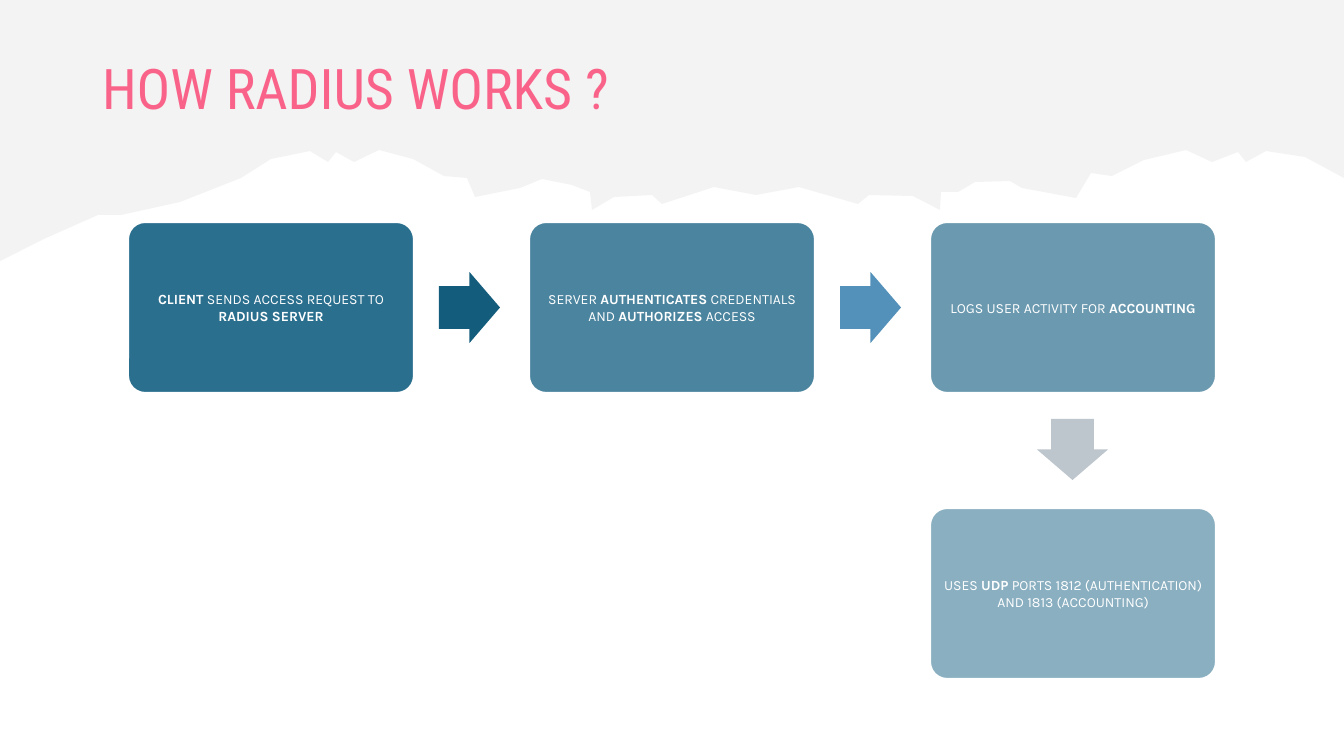
"""Build the slide that explains the RADIUS flow in four steps."""
from lxml import etree
from pptx import Presentation
from pptx.dml.color import RGBColor
from pptx.enum.shapes import MSO_SHAPE
from pptx.enum.text import MSO_ANCHOR, PP_ALIGN
from pptx.oxml.ns import qn
from pptx.util import Pt

PX = 914400 / 100.8
ROUNDED, ARROW = MSO_SHAPE.ROUNDED_RECTANGLE, MSO_SHAPE.RIGHT_ARROW
MIDDLE, CENTER, LEFT = MSO_ANCHOR.MIDDLE, PP_ALIGN.CENTER, PP_ALIGN.LEFT
COLORS = {"white": "FFFFFF", "torn": "E8E8E8", "title": "FA6389", "step": "156082",
          "arrow 1": "145C7C", "arrow 2": "5391BA", "arrow 3": "BDC5CD"}
TORN_EDGE = [
    (0, 261), (46, 238), (98, 215), (121, 215), (180, 202), (241, 178), (271, 159),
    (310, 151), (328, 162), (336, 152), (354, 162), (379, 150), (413, 159), (444, 176),
    (467, 178), (475, 197), (520, 188), (542, 179), (572, 185), (590, 192), (592, 210),
    (614, 197), (652, 195), (662, 204), (714, 187), (756, 195), (799, 187), (858, 204),
    (869, 195), (913, 196), (940, 210), (941, 192), (958, 192), (975, 182), (1010, 181),
    (1022, 188), (1076, 198), (1091, 173), (1112, 176), (1144, 160), (1186, 150),
    (1212, 162), (1238, 152), (1246, 162), (1266, 151), (1305, 157), (1344, 178),
    (1344, 0), (0, 0)]
BOX_LEFT, BOX_TOP, BOX_WIDTH, BOX_HEIGHT = 128, 222, 286, 171
COLUMN_STEP, ROW_STEP = 401, 286
STEPS = [
    (0, 0, 90, [("CLIENT", True), (" SENDS ACCESS REQUEST TO ", False), ("RADIUS SERVER", True)]),
    (1, 0, 77, [("SERVER ", False), ("AUTHENTICATES", True), (" CREDENTIALS AND ", False),
                ("AUTHORIZES", True), (" ACCESS", False)]),
    (2, 0, 63, [("LOGS USER ACTIVITY FOR ", False), ("ACCOUNTING", True)]),
    (2, 1, 50, [("USES ", False), ("UDP", True),
                (" PORTS 1812 (AUTHENTICATION) AND 1813 (ACCOUNTING)", False)])]
ARROWS = [(439, 272, 0, "arrow 1"), (840, 272, 0, "arrow 2"), (1042, 414, 90, "arrow 3")]


def px(*lengths):
    return [round(length * PX) for length in lengths]


def paint(shape, color, opacity=100):
    shape.shadow.inherit = False
    shape.line.fill.background()
    shape.fill.solid()
    shape.fill.fore_color.rgb = RGBColor.from_string(COLORS[color])
    if opacity < 100:
        tint = shape.fill._xPr.find(qn("a:solidFill"))[0]
        etree.SubElement(tint, qn("a:alpha")).set("val", str(opacity * 1000))


prs = Presentation()
prs.slide_width, prs.slide_height = px(1344, 756)
slide = prs.slides.add_slide(prs.slide_layouts[5])

outline = slide.shapes.build_freeform(*TORN_EDGE[0], scale=PX)
outline.add_line_segments(TORN_EDGE[1:], close=True)
torn_band = outline.convert_to_shape()
paint(torn_band, "torn", 50)
slide.shapes._spTree.insert(2, torn_band._element)

title = slide.shapes.title
title.left, title.top, title.width, title.height = px(92, 40, 1159, 103)
title.text_frame.word_wrap = True
title.text_frame.vertical_anchor = MIDDLE
heading = title.text_frame.paragraphs[0]
heading.alignment, heading.line_spacing = LEFT, 0.9
heading_run = heading.add_run()
heading_run.text = "HOW RADIUS WORKS ?"
heading_run.font.size, heading_run.font.name = Pt(40), "Roboto Condensed"
heading_run.font.color.rgb = RGBColor.from_string(COLORS["title"])

for column, row, opacity, wording in STEPS:
    step = slide.shapes.add_shape(ROUNDED, *px(
        BOX_LEFT + column * COLUMN_STEP, BOX_TOP + row * ROW_STEP, BOX_WIDTH, BOX_HEIGHT))
    step.adjustments[0] = 0.1
    paint(step, "step", opacity)
    step.line.color.rgb = RGBColor.from_string(COLORS["white"])
    step.line.width = Pt(1.5)
    frame = step.text_frame
    frame.word_wrap, frame.vertical_anchor = True, MIDDLE
    frame.margin_left, frame.margin_right, frame.margin_top, frame.margin_bottom = px(*[9] * 4)
    sentence = frame.paragraphs[0]
    sentence.alignment = CENTER
    for words, bold in wording:
        run = sentence.add_run()
        run.text = words
        run.font.size, run.font.name, run.font.bold = Pt(10), "Karla", bold
        run.font.color.rgb = RGBColor.from_string(COLORS["white"])

for left, top, turn, color in ARROWS:
    arrow = slide.shapes.add_shape(ARROW, *px(left, top, 61, 71))
    arrow.adjustments[0], arrow.adjustments[1] = 0.6, 0.5
    arrow.rotation = turn
    paint(arrow, color)

prs.save("out.pptx")
